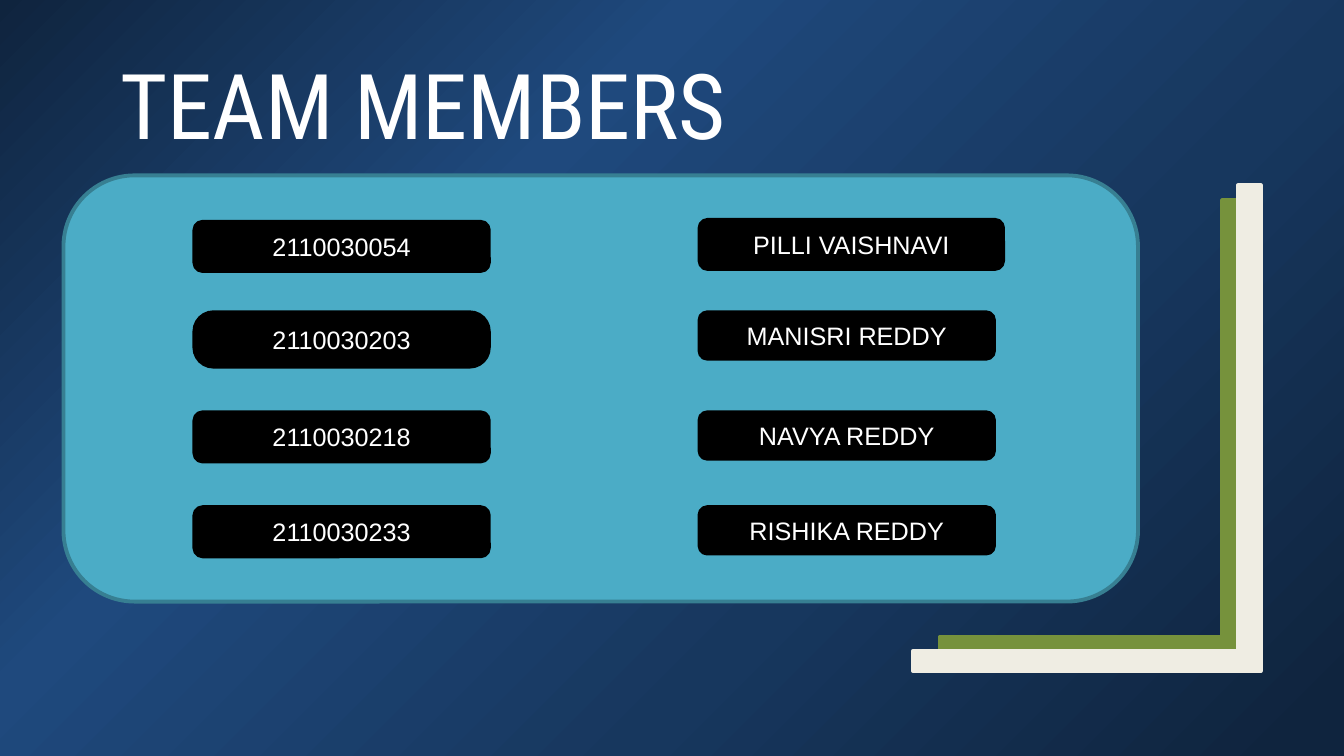
from dataclasses import dataclass

from lxml.etree import SubElement
from pptx import Presentation
from pptx.dml.color import RGBColor
from pptx.enum.shapes import MSO_SHAPE
from pptx.enum.text import MSO_ANCHOR, MSO_AUTO_SIZE, PP_ALIGN
from pptx.oxml.ns import qn
from pptx.shapes.autoshape import Shape
from pptx.slide import Slide
from pptx.text.text import Font
from pptx.util import Cm, Pt

COLOURS = {
    "night": "0F243E",
    "blue": "1F497D",
    "navy": "17375E",
    "green": "76923C",
    "cream": "EFEDE3",
    "teal": "4BACC6",
    "dark teal": "377F92",
    "black": "000000",
    "white": "FFFFFF",
}
BACKGROUND_STOPS = [(0, "night"), (33, "blue"), (66, "navy"), (97, "night")]
LINE_WIDTH = 2.75


@dataclass
class Box:
    """Position and size in centimetres."""
    left: float
    top: float
    width: float
    height: float


@dataclass
class Bracket:
    box: Box
    colour: str
    adjustments: tuple[float, float]


@dataclass
class Label:
    text: str
    box: Box
    rounding: float = 0.167


BRACKETS = [
    Bracket(Box(23.7, 5.05, 7.7, 11.56), "green", (0.074, 0.077)),
    Bracket(Box(23.01, 4.67, 8.76, 12.24), "cream", (0.058, 0.065)),
]
PANEL = Box(1.6, 4.42, 27.08, 10.74)
NUMBER_LEFT, NAME_LEFT, LABEL_WIDTH = 4.9, 17.63, 7.42
ROW_TOPS = [5.59, 7.87, 10.39, 12.78]
NUMBERS = ["2110030054", "2110030203", "2110030218", "2110030233"]
NAMES = ["PILLI VAISHNAVI", "MANISRI REDDY", "NAVYA REDDY", "RISHIKA REDDY"]


def colour_of(name: str) -> RGBColor:
    return RGBColor.from_string(COLOURS[name])


def format_font(font: Font, name: str, size: float) -> None:
    font.name = name
    font.size = Pt(size)
    font.color.rgb = colour_of("white")


def paint_background(slide: Slide) -> None:
    fill = slide.background.fill
    fill.gradient()
    fill.gradient_angle = 315  # counter-clockwise: runs to the lower right
    stop_list = fill.gradient_stops[0]._gs.getparent()
    for stop in list(stop_list):
        stop_list.remove(stop)
    for percent, name in BACKGROUND_STOPS:
        stop = SubElement(stop_list, qn("a:gs"), pos=str(percent * 1000))
        SubElement(stop, qn("a:srgbClr"), val=COLOURS[name])


def add_box(slide: Slide, kind: MSO_SHAPE, box: Box, fill: str, line: str) -> Shape:
    shape = slide.shapes.add_shape(
        kind, Cm(box.left), Cm(box.top), Cm(box.width), Cm(box.height))
    shape.shadow.inherit = False
    shape.fill.solid()
    shape.fill.fore_color.rgb = colour_of(fill)
    shape.line.color.rgb = colour_of(line)
    shape.line.width = Pt(LINE_WIDTH)
    return shape


def add_bracket(slide: Slide, bracket: Bracket) -> None:
    shape = add_box(slide, MSO_SHAPE.CORNER, bracket.box, bracket.colour, bracket.colour)
    for index, value in enumerate(bracket.adjustments):
        shape.adjustments[index] = value
    shape._element.spPr.find(qn("a:xfrm")).set("flipH", "1")


def add_label(slide: Slide, label: Label) -> None:
    shape = add_box(slide, MSO_SHAPE.ROUNDED_RECTANGLE, label.box, "black", "black")
    shape.adjustments[0] = label.rounding
    text_frame = shape.text_frame
    text_frame.text = label.text
    text_frame.vertical_anchor = MSO_ANCHOR.MIDDLE
    paragraph = text_frame.paragraphs[0]
    paragraph.alignment = PP_ALIGN.CENTER
    format_font(paragraph.runs[0].font, "Arial", 18)


def set_title(slide: Slide) -> None:
    title = slide.shapes.title
    title.left, title.top, title.width, title.height = Cm(2.13), Cm(0.94), Cm(16.43), Cm(3.18)
    text_frame = title.text_frame
    text_frame.text = "TEAM MEMBERS"
    text_frame.word_wrap = True
    text_frame.auto_size = MSO_AUTO_SIZE.NONE
    text_frame.vertical_anchor = MSO_ANCHOR.BOTTOM
    paragraph = text_frame.paragraphs[0]
    paragraph.alignment = PP_ALIGN.RIGHT
    paragraph.line_spacing = 0.89
    format_font(paragraph.runs[0].font, "Roboto Condensed", 64.8)


def member_labels() -> list[Label]:
    numbers = [Label(text, Box(NUMBER_LEFT, top, LABEL_WIDTH, 1.24))
               for text, top in zip(NUMBERS, ROW_TOPS)]
    names = [Label(text, Box(NAME_LEFT, top, LABEL_WIDTH, 1.17))
             for text, top in zip(NAMES, ROW_TOPS)]
    # The second number is taller and rounder, the first name larger
    numbers[1].box.height, numbers[1].rounding = 1.37, 0.351
    names[0].box = Box(NAME_LEFT, 5.54, 7.65, 1.24)
    return numbers + names


def main() -> None:
    presentation = Presentation()
    presentation.slide_width, presentation.slide_height = Cm(33.87), Cm(19.05)
    slide = presentation.slides.add_slide(presentation.slide_layouts[5])

    # Background and title
    paint_background(slide)
    set_title(slide)

    # Corner brackets
    for bracket in BRACKETS:
        add_bracket(slide, bracket)

    # Panel with the team members
    add_box(slide, MSO_SHAPE.ROUNDED_RECTANGLE, PANEL, "teal", "dark teal")
    for label in member_labels():
        add_label(slide, label)

    presentation.save("out.pptx")


if __name__ == "__main__":
    main()
